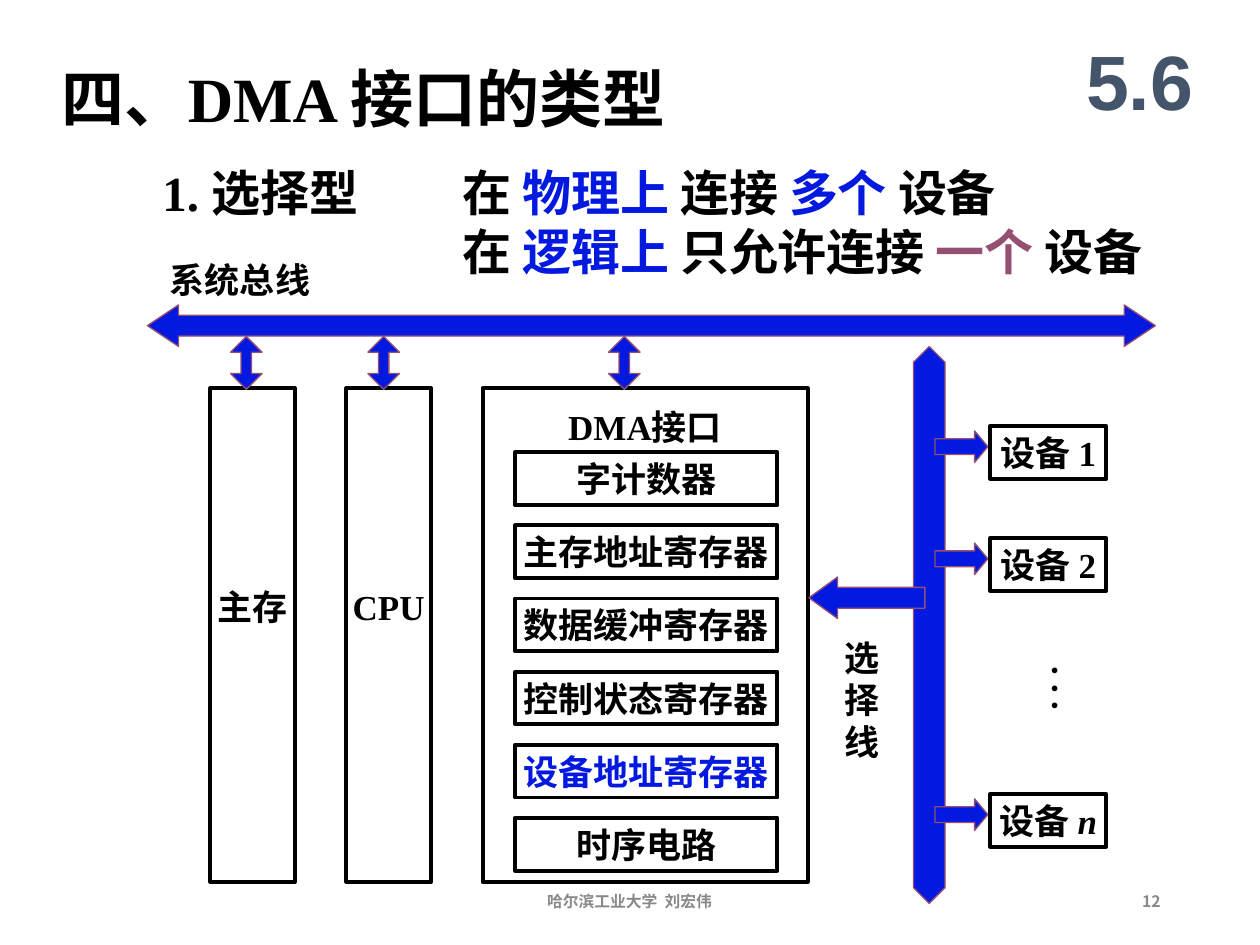
from typing import NamedTuple

from lxml.etree import SubElement
from pptx import Presentation
from pptx.dml.color import RGBColor
from pptx.enum.shapes import MSO_SHAPE as Shape
from pptx.enum.text import MSO_ANCHOR as Anchor, MSO_AUTO_SIZE as AutoSize, PP_ALIGN as Align
from pptx.oxml.ns import qn
from pptx.util import Inches, Pt

BLACK, BLUE, PLUM = "000000", "0419E0", "954F72"
SLATE, GREY = "44546A", "898989"
SERIF, SANS, CJK = "Times New Roman", "Arial", "Noto Sans CJK SC"


class Box(NamedTuple):
    """A rectangle in inches."""
    left: float
    top: float
    width: float
    height: float

    def inner(self, left, top, width, height):
        """Return a rectangle given relative to this one."""
        return Box(self.left + left, self.top + top, width, height)

    def lengths(self):
        return [Inches(value) for value in self]


def color(value):
    return RGBColor.from_string(value)


def write(frame, lines, size=20, font=SERIF, ink=BLACK, align=Align.LEFT,
          anchor=Anchor.TOP, wrap=False, margins=(0.1, 0.05, 0.1, 0.05)):
    """Fill a text frame; a line is a string or a list of (text, format) spans."""
    frame.auto_size = AutoSize.NONE
    frame.word_wrap = wrap
    frame.vertical_anchor = anchor
    (frame.margin_left, frame.margin_top,
     frame.margin_right, frame.margin_bottom) = [Inches(m) for m in margins]
    for index, line in enumerate([lines] if isinstance(lines, str) else lines):
        para = frame.add_paragraph() if index else frame.paragraphs[0]
        para.alignment = align
        for text, style in [(line, {})] if isinstance(line, str) else line:
            span = para.add_run()
            span.text = text
            span.font.name = font
            span.font.size = Pt(size)
            span.font.bold = True
            span.font.italic = style.get("italic")
            span.font.color.rgb = color(style.get("ink", ink))
            east_asian = SubElement(span.font._element, qn("a:ea"))
            east_asian.set("typeface", CJK)


def add_text(page, box, lines, **style):
    text_box = page.shapes.add_textbox(*box.lengths())
    write(text_box.text_frame, lines, **style)
    return text_box


def add_frame(page, box, lines, **style):
    """Add an unfilled black rectangle with a label."""
    frame = page.shapes.add_shape(Shape.RECTANGLE, *box.lengths())
    frame.shadow.inherit = False
    frame.fill.background()
    frame.line.color.rgb = color(BLACK)
    frame.line.width = Pt(2.25)
    style = {"align": Align.CENTER, "anchor": Anchor.MIDDLE, "margins": (0, 0, 0, 0)} | style
    write(frame.text_frame, lines, **style)


def add_arrow(page, kind, box, head):
    """Add a block arrow; head is the head length over the arrow's thickness."""
    arrow = page.shapes.add_shape(kind, *box.lengths())
    arrow.shadow.inherit = False
    arrow.adjustments[0] = 0.5
    arrow.adjustments[1] = head
    arrow.fill.solid()
    arrow.fill.fore_color.rgb = color(BLUE)
    arrow.line.color.rgb = color(PLUM)
    arrow.line.width = Pt(0.75)


def add_heading(page, box):
    title = page.shapes.title
    title.left, title.top, title.width, title.height = box.inner(0, 0.25, 5.26, 0.7).lengths()
    write(title.text_frame, "四、DMA 接口的类型", size=36)
    add_text(page, box.inner(8.03, 0, 1.25, 0.92), "5.6", size=44, font=SANS, ink=SLATE,
             align=Align.CENTER, anchor=Anchor.MIDDLE, wrap=True)


def add_definition(page, box):
    blue, plum = {"ink": BLUE}, {"ink": PLUM}
    add_text(page, box.inner(0, 0, 1.84, 0.57), "1. 选择型", size=28)
    add_text(page, box.inner(2.38, 0, 6.1, 1.04), [
        [("在 ", {}), ("物理上 ", blue), ("连接 ", {}), ("多个 ", blue), ("设备", {})],
        [("在 ", {}), ("逻辑上 ", blue), ("只允许连接 ", {}), ("一个 ", plum), ("设备", {})],
    ], size=28, wrap=True)


def add_system_bus(page, box):
    add_text(page, box.inner(0.08, 0, 1.31, 0.44), "系统总线")
    add_arrow(page, Shape.LEFT_RIGHT_ARROW, box.inner(0, 0.42, box.width, 0.33), 0.75)
    for left in (0.66, 1.75, 3.66):
        add_arrow(page, Shape.UP_DOWN_ARROW, box.inner(left, 0.67, 0.25, 0.42), 0.33)


def add_bus_units(page, box):
    """Add the main memory and the processor."""
    for index, name in enumerate(("主存", "CPU")):
        add_frame(page, box.inner(1.08 * index, 0, 0.67, box.height), name,
                  margins=(0, 0, 0, 0.46))


def add_dma_interface(page, box):
    add_frame(page, box, "DMA接口", anchor=Anchor.TOP, margins=(0, 0.14, 0, 0))
    registers = ("字计数器", "主存地址寄存器", "数据缓冲寄存器",
                 "控制状态寄存器", "设备地址寄存器", "时序电路")
    for index, name in enumerate(registers):
        add_frame(page, box.inner(0.26, 0.51 + 0.58 * index, 2.08, 0.42), name,
                  ink=BLUE if name == "设备地址寄存器" else BLACK)


def add_devices(page, box):
    """Add the select line with the devices on it."""
    add_arrow(page, Shape.UP_DOWN_ARROW, box.inner(0.83, 0, 0.25, box.height), 1.42)
    add_arrow(page, Shape.LEFT_ARROW, box.inner(0, 1.83, 0.92, 0.33), 0.69)
    add_text(page, box.inner(0.18, 2.25, 0.48, 1.1), ["选", "择", "线"])
    devices = ((0.63, "1", {}), (1.52, "2", {}), (3.55, "n", {"italic": True}))
    for top, number, style in devices:
        add_arrow(page, Shape.RIGHT_ARROW, box.inner(1, top + 0.04, 0.42, 0.25), 0.42)
        add_frame(page, box.inner(1.44, top, 0.92, 0.42), [[("设备 ", {}), (number, style)]])
    dots = add_text(page, box.inner(1.73, 2.44, 0.53, 0.45), ". . .",
                    margins=(0.05, 0.1, 0.05, 0.1))
    dots.text_frame._txBody.bodyPr.set("vert", "eaVert")


def add_footer(page, box):
    style = {"size": 9, "font": CJK, "ink": GREY, "anchor": Anchor.MIDDLE, "wrap": True}
    add_text(page, box.inner(0, 0, 3.37, box.height), "哈尔滨工业大学  刘宏伟",
             align=Align.CENTER, **style)
    add_text(page, box.inner(3.75, 0, 2.25, box.height), "12", align=Align.RIGHT, **style)


def main():
    deck = Presentation()
    deck.slide_width, deck.slide_height = Inches(10), Inches(7.5)
    page = deck.slides.add_slide(deck.slide_layouts[5])
    add_heading(page, Box(0.39, 0.17, 9.28, 0.95))
    add_definition(page, Box(1.19, 1.24, 8.48, 1.04))
    add_bus_units(page, Box(1.67, 3.08, 1.75, 3.92))
    add_dma_interface(page, Box(3.83, 3.08, 2.58, 3.92))
    add_system_bus(page, Box(1.17, 2, 8, 1.09))
    add_devices(page, Box(6.42, 2.75, 2.36, 4.42))
    add_footer(page, Box(3.31, 6.95, 6, 0.4))
    deck.save("out.pptx")


if __name__ == "__main__":
    main()
